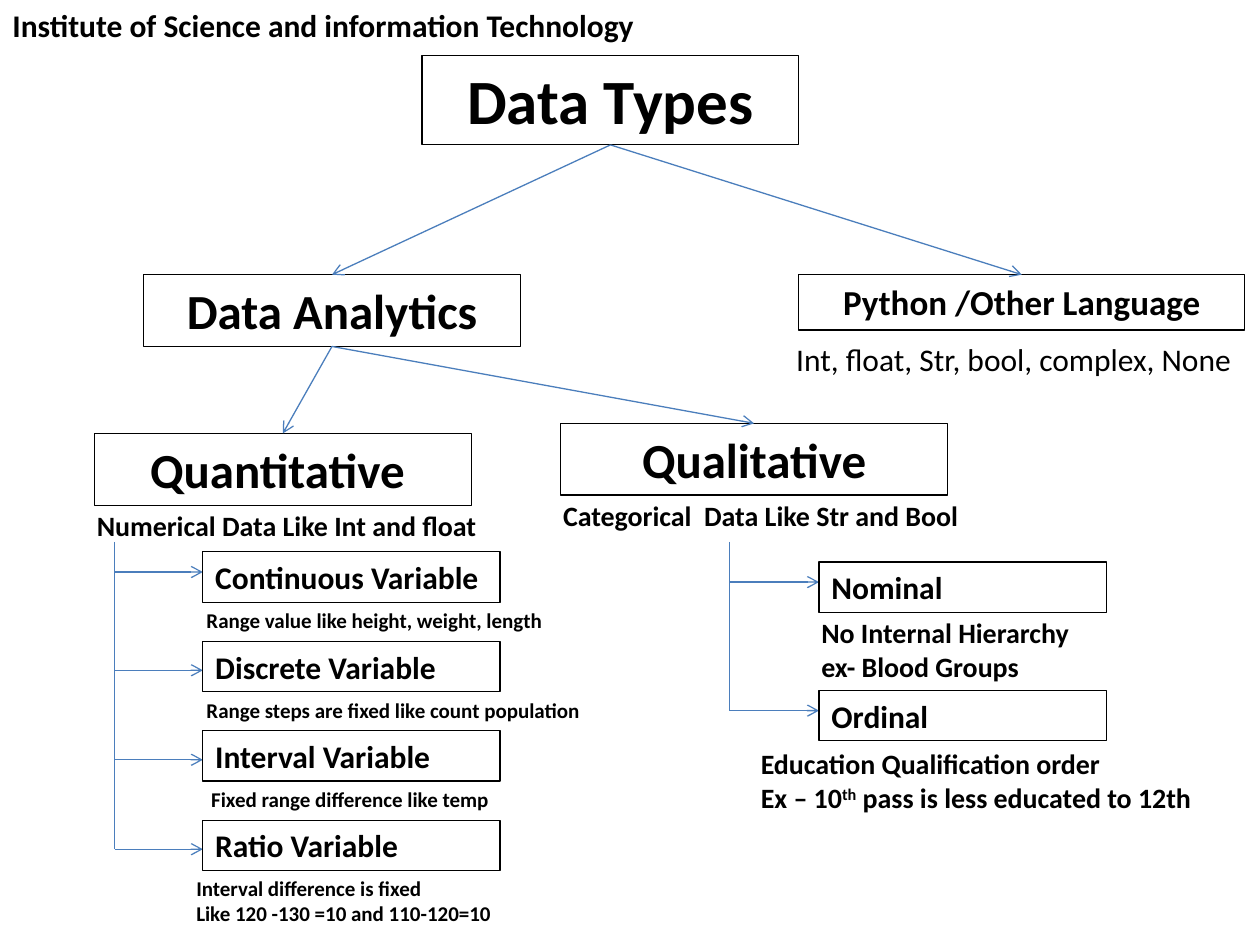
from dataclasses import dataclass

from lxml.etree import SubElement
from pptx import Presentation
from pptx.dml.color import RGBColor
from pptx.enum.shapes import MSO_CONNECTOR as Connector, MSO_SHAPE as Preset
from pptx.enum.text import MSO_ANCHOR as Anchor, MSO_AUTO_SIZE as AutoSize, PP_ALIGN as Align
from pptx.oxml.ns import qn
from pptx.shapes.autoshape import Shape
from pptx.shapes.connector import Connector as ConnectorShape
from pptx.slide import Slide
from pptx.util import Inches, Pt

COLORS = {"text": "000000", "border": "000000", "arrow": "4B7EBC"}
FONT = "Calibri"
LINE_WIDTH = Pt(0.75)
SUPERSCRIPT = "^"
BOTTOM_SITE, TOP_SITE = 2, 0


@dataclass
class Label:
    """Text with its place in inches; parts between ^ marks are superscript."""

    lines: tuple[str, ...]
    left: float
    top: float
    width: float
    height: float
    size: int
    align: Align = Align.LEFT
    bold: bool = True


@dataclass
class Branch:
    """A trunk with an arrow to each of its boxes."""

    trunk: float
    top: float
    arrows: tuple[float, ...]
    boxes: tuple[Label, ...]


ROOT = Label(("Data Types",), 3.35, 0.44, 2.99, 0.71, 36, Align.CENTER)
NODES = {
    "analytics": Label(("Data Analytics",), 1.14, 2.18, 2.99, 0.57, 28, Align.CENTER),
    "language": Label(("Python /Other Language",), 6.34, 2.18, 3.54, 0.44, 20, Align.CENTER),
    "quantitative": Label(("Quantitative ",), 0.75, 3.44, 2.99, 0.57, 28, Align.CENTER),
    "qualitative": Label(("Qualitative",), 4.45, 3.36, 3.07, 0.57, 28, Align.CENTER),
}
EDGES = (
    ("root", "analytics"),
    ("root", "language"),
    ("analytics", "quantitative"),
    ("analytics", "qualitative"),
)
VARIABLES = ("Continuous", "Discrete", "Interval", "Ratio")
BRANCHES = (
    Branch(0.91, 4.3, (4.54, 5.32, 6.03, 6.74), tuple(
        Label((f"{name} Variable",), 1.61, 4.38 + 0.71 * row, 2.36, 0.4, 18)
        for row, name in enumerate(VARIABLES)
    )),
    Branch(5.79, 4.3, (4.62, 5.64), tuple(
        Label((name,), 6.5, 4.46 + 1.02 * row, 2.28, 0.4, 18)
        for row, name in enumerate(("Nominal", "Ordinal"))
    )),
)
NOTES = (
    Label(("Institute of Science and information Technology",), 0, 0, 5.55, 0.4, 18),
    Label(("Int, float, Str, bool, complex, None",), 6.22, 2.65, 3.78, 0.4, 18, bold=False),
    Label(("Numerical Data Like Int and float",), 0.67, 3.99, 3.46, 0.37, 16),
    Label(("Categorical  Data Like Str and Bool",), 4.37, 3.91, 4.02, 0.37, 16),
    Label(("Range value like height, weight, length",), 1.54, 4.77, 3.31, 0.3, 12),
    Label(("Range steps are fixed like count population",), 1.54, 5.49, 3.31, 0.3, 12),
    Label((" Fixed range difference like temp",), 1.54, 6.19, 2.6, 0.3, 12),
    Label(("Interval difference is fixed", "Like 120 -130 =10 and 110-120=10"),
          1.46, 6.9, 2.6, 0.5, 12),
    Label(("No Internal Hierarchy", "ex- Blood Groups"), 6.42, 4.84, 2.36, 0.64, 16),
    Label(("Education Qualification order", "Ex – 10^th^ pass is less educated to 12th"),
          5.94, 5.88, 3.86, 0.64, 16),
)


def place(label: Label) -> tuple[Inches, ...]:
    """Return the label's left, top, width and height as lengths."""
    return tuple(Inches(value) for value in (label.left, label.top, label.width, label.height))


def write(shape: Shape, label: Label) -> None:
    """Write the label into the shape run by run."""
    frame = shape.text_frame
    frame.word_wrap = True
    frame.auto_size = AutoSize.NONE if shape.is_placeholder else AutoSize.SHAPE_TO_FIT_TEXT
    frame.vertical_anchor = Anchor.TOP
    for index, line in enumerate(label.lines):
        paragraph = frame.add_paragraph() if index else frame.paragraphs[0]
        paragraph.alignment = label.align
        for position, part in enumerate(line.split(SUPERSCRIPT)):
            run = paragraph.add_run()
            run.text = part
            run.font.name = FONT
            run.font.size = Pt(label.size)
            run.font.bold = label.bold
            run.font.color.rgb = RGBColor.from_string(COLORS["text"])
            if position % 2:
                run.font._element.set("baseline", "30000")


def frame_box(shape: Shape, label: Label) -> Shape:
    """Give the shape a thin outline without fill, and its text."""
    shape.fill.background()
    shape.line.color.rgb = RGBColor.from_string(COLORS["border"])
    shape.line.width = LINE_WIDTH
    write(shape, label)
    return shape


def add_box(slide: Slide, label: Label) -> Shape:
    """Add an outlined rectangle holding the label."""
    shape = slide.shapes.add_shape(Preset.RECTANGLE, *place(label))
    shape.shadow.inherit = False
    return frame_box(shape, label)


def add_title(slide: Slide, label: Label) -> Shape:
    """Move the title placeholder to the root of the tree and outline it."""
    title = slide.shapes.title
    title.left, title.top, title.width, title.height = place(label)
    return frame_box(title, label)


def add_line(slide: Slide, start: tuple[float, float], end: tuple[float, float],
             arrow: bool = True) -> ConnectorShape:
    """Add a straight line, with an open arrowhead at its end if asked."""
    points = (Inches(value) for value in (*start, *end))
    line = slide.shapes.add_connector(Connector.STRAIGHT, *points)
    line.line.color.rgb = RGBColor.from_string(COLORS["arrow"])
    line.line.width = LINE_WIDTH
    if arrow:
        SubElement(line.line._get_or_add_ln(), qn("a:tailEnd"), type="arrow")
    SubElement(line._element.spPr, qn("a:effectLst"))
    return line


def add_branch(slide: Slide, branch: Branch) -> None:
    """Add the trunk, its arrows and its boxes."""
    add_line(slide, (branch.trunk, branch.top), (branch.trunk, branch.arrows[-1]), arrow=False)
    for height, box in zip(branch.arrows, branch.boxes):
        add_line(slide, (branch.trunk, height), (box.left, height))
        add_box(slide, box)


def main() -> None:
    """Build the data types slide."""
    presentation = Presentation()
    presentation.slide_width, presentation.slide_height = Inches(10), Inches(7.5)
    slide = presentation.slides.add_slide(presentation.slide_layouts.get_by_name("Title Only"))
    shapes = {"root": add_title(slide, ROOT)}
    for name, label in NODES.items():
        shapes[name] = add_box(slide, label)
    for parent, child in EDGES:
        edge = add_line(slide, (0, 0), (1, 1))
        edge.begin_connect(shapes[parent], BOTTOM_SITE)
        edge.end_connect(shapes[child], TOP_SITE)
    for branch in BRANCHES:
        add_branch(slide, branch)
    for note in NOTES:
        write(slide.shapes.add_textbox(*place(note)), note)
    presentation.save("out.pptx")


if __name__ == "__main__":
    main()
